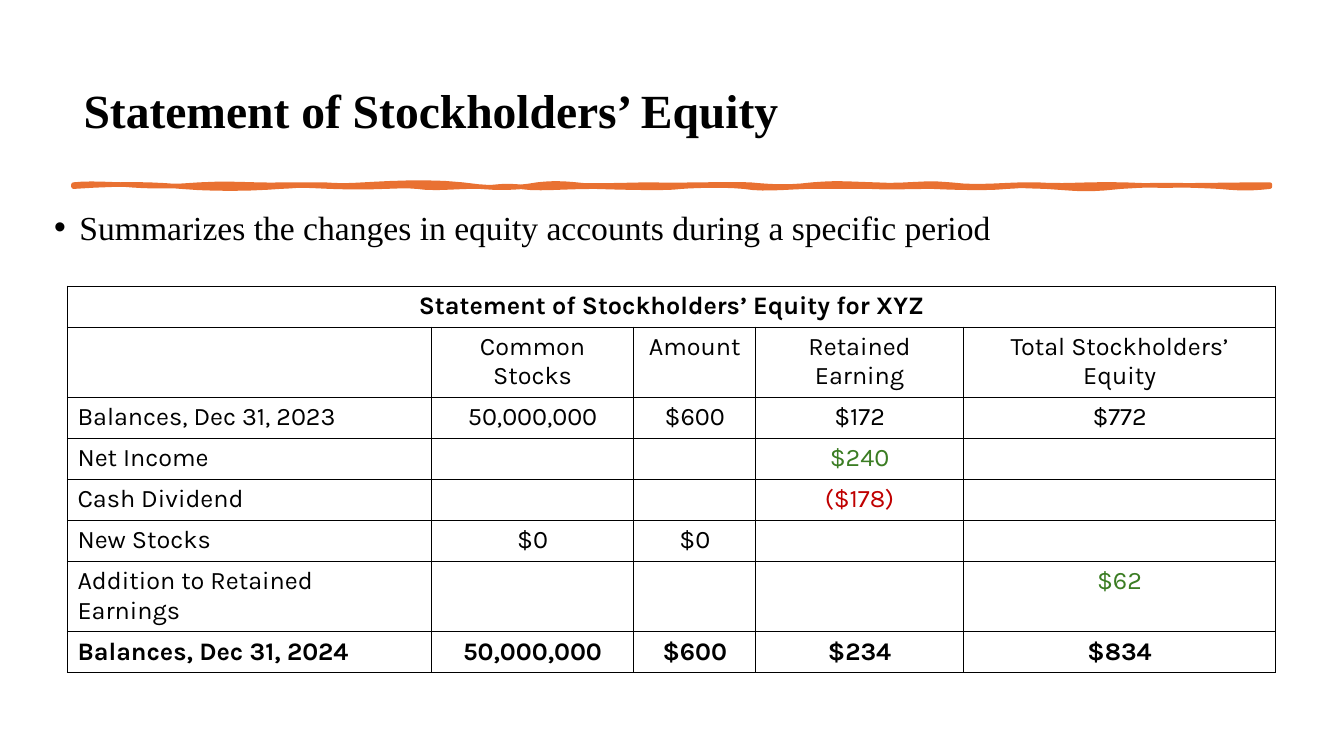
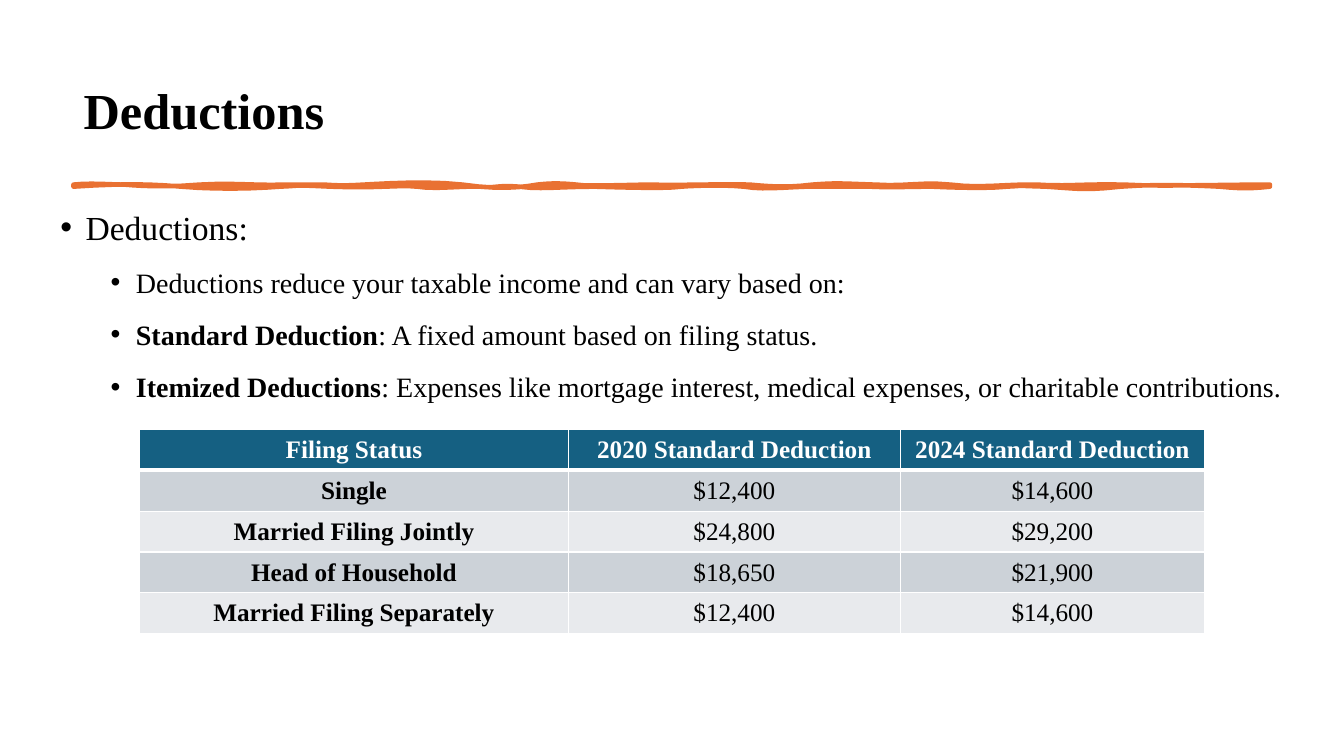
from lxml.etree import SubElement
from pptx import Presentation
from pptx.dml.color import RGBColor
from pptx.enum.text import MSO_ANCHOR, MSO_AUTO_SIZE, PP_ALIGN
from pptx.oxml.ns import qn
from pptx.util import Pt

COLORS = {
    "text": "000000", "white": "FFFFFF", "accent": "E97132",
    "gain": "3B7D23", "loss": "C00000",
    "header": "156082", "band_dark": "CCD2D8", "band_light": "E8EAED",
}
SERIF, SANS = "Times New Roman", "Karla"
TITLE_BOX = (52.5, 28.8, 854.6, 104.4)
STROKE_BOX = (52.5, 131.9, 854.6, 1.44)

# Brush edges as Bezier segments in hundredths of an inch:
# first control x, dy, second control x, dy, end x.
TOP_EDGE = [
    (16, -2, 38, 0, 51), (63, 1, 89, 3, 125), (161, -2, 178, 1, 211),
    (244, 0, 234, 0, 249), (265, 1, 269, 1, 288), (307, -1, 351, -4, 386),
    (421, 5, 443, 3, 460), (476, -2, 489, -1, 499), (508, 2, 552, 0, 573),
    (594, 1, 650, -1, 671), (692, 2, 709, 3, 733), (757, -2, 765, -1, 795),
    (826, 2, 841, -3, 870), (899, 4, 929, -1, 956), (982, 2, 1005, -1, 1042),
    (1078, 2, 1126, 0, 1187),
]
BOTTOM_EDGE = [
    (1169, 2, 1157, 2, 1137), (1117, -1, 1076, -3, 1039),
    (1002, 4, 997, 2, 965), (932, -1, 945, -1, 926), (907, 2, 875, 1, 852),
    (829, 0, 811, 1, 790), (768, 0, 755, 0, 727), (700, 1, 684, 3, 665),
    (646, -2, 615, -1, 603), (590, 2, 551, 1, 517), (482, 0, 464, 3, 442),
    (421, -2, 418, 2, 404), (390, -1, 357, 3, 341), (326, -2, 298, 2, 255),
    (213, -2, 230, -1, 205), (180, 2, 140, 3, 107), (74, -3, 45, -3, 0),
]

EQUITY_ROWS = [
    ["Statement of Stockholders’ Equity for XYZ", "", "", "", ""],
    ["", "Common Stocks", "Amount", "Retained Earning",
     "Total Stockholders’ Equity"],
    ["Balances, Dec 31, 2023", "50,000,000", "$600", "$172", "$772"],
    ["Net Income", "", "", "$240", ""],
    ["Cash Dividend", "", "", "($178)", ""],
    ["New Stocks", "$0", "$0", "", ""],
    ["Addition to Retained Earnings", "", "", "", "$62"],
    ["Balances, Dec 31, 2024", "50,000,000", "$600", "$234", "$834"],
]
EQUITY_COLORS = {"$240": "gain", "($178)": "loss", "$62": "gain"}

DEDUCTION_ROWS = [
    ["Filing Status", "2020 Standard Deduction", "2024 Standard Deduction"],
    ["Single", "$12,400", "$14,600"],
    ["Married Filing Jointly", "$24,800", "$29,200"],
    ["Head of Household", "$18,650", "$21,900"],
    ["Married Filing Separately", "$12,400", "$14,600"],
]


def rgb(name):
    return RGBColor.from_string(COLORS[name])


def points(box):
    return [Pt(v) for v in box]


def set_format(obj, **values):
    for name, value in values.items():
        setattr(obj, name, value)


def add_run(p, text, size, color="text", font=SERIF, bold=False):
    r = p.add_run()
    r.text = text
    set_format(r.font, name=font, size=Pt(size), bold=bold)
    r.font.color.rgb = rgb(color)


def add_title(s, text, size, box):
    sp = s.shapes.title
    left, top, width, height = points(box)
    set_format(sp, left=left, top=top, width=width, height=height)
    tf = sp.text_frame
    set_format(tf, word_wrap=True, auto_size=MSO_AUTO_SIZE.NONE,
               vertical_anchor=MSO_ANCHOR.MIDDLE)
    p = tf.paragraphs[0]
    set_format(p, alignment=PP_ALIGN.LEFT, line_spacing=0.9)
    add_run(p, text, size, bold=True)


def edge_points(edge, start, base, steps=6):
    """Sample the Bezier segments of one edge as points on the slide's scale."""
    x0 = start
    for x1, dy1, x2, dy2, x3 in edge:
        for i in range(1, steps + 1):
            t = i / steps
            u = 1 - t
            a, b, c, d = u ** 3, 3 * u * u * t, 3 * u * t * t, t ** 3
            x = a * x0 + b * x1 + c * x2 + d * x3
            yield Pt(0.72 * x), Pt(0.72 * (base + b * dy1 + c * dy2))
        x0 = x3


def add_brush_stroke(s, box):
    left, top, _, _ = points(box)
    end = TOP_EDGE[-1][-1]
    builder = s.shapes.build_freeform(0, 0)
    builder.add_line_segments(edge_points(TOP_EDGE, 0, 0), close=False)
    builder.add_line_segments([(Pt(0.72 * end), Pt(1.44))], close=False)
    builder.add_line_segments(edge_points(BOTTOM_EDGE, end, 2), close=True)
    sp = builder.convert_to_shape(left, top)
    sp.shadow.inherit = False
    sp.fill.solid()
    sp.fill.fore_color.rgb = rgb("accent")
    sp.line.color.rgb = rgb("accent")
    sp.line.width = Pt(3.25)


def add_bullets(s, box, items, space):
    """Place items of (level, size, [(text, bold), ...]) as a bulleted list."""
    tf = s.shapes.add_textbox(*points(box)).text_frame
    tf.word_wrap = True
    for i, (level, size, runs) in enumerate(items):
        p = tf.paragraphs[0] if i == 0 else tf.add_paragraph()
        set_format(p, level=level, line_spacing=1.05, space_after=Pt(space),
                   space_before=Pt(space if i else 0))
        pPr = p._p.get_or_add_pPr()
        pPr.set("marL", str(Pt(18 + 36 * level)))
        pPr.set("indent", str(Pt(-18)))
        SubElement(pPr, qn("a:buFont"), typeface="Arial")
        SubElement(pPr, qn("a:buChar"), char="•")
        for text, bold in runs:
            add_run(p, text, size, bold=bold)


def set_borders(cell, color, **widths):
    tcPr = cell._tc.get_or_add_tcPr()
    for side in "LRTB":
        ln = SubElement(tcPr, qn(f"a:ln{side}"), w=str(Pt(widths.get(side, 1))))
        fill = SubElement(ln, qn("a:solidFill"))
        SubElement(fill, qn("a:srgbClr"), val=COLORS[color])


def add_grid(s, left, top, col_widths, row_height, rows):
    """Add a table without style bands; text and formats come later."""
    box = (left, top, sum(col_widths), row_height * len(rows))
    table = s.shapes.add_table(len(rows), len(col_widths),
                               *points(box)).table
    set_format(table, first_row=False, horz_banding=False)
    for col, width in zip(table.columns, col_widths):
        col.width = Pt(width)
    for row in table.rows:
        row.height = Pt(row_height)
    return table


def add_equity_table(s, left, top):
    widths = [259.9, 144.7, 87.1, 148.3, 223.2]
    table = add_grid(s, left, top, widths, 29.2, EQUITY_ROWS)
    table.cell(0, 0).merge(table.cell(0, len(widths) - 1))
    bold_rows = (0, len(EQUITY_ROWS) - 1)
    for i, row in enumerate(EQUITY_ROWS):
        for j, text in enumerate(row):
            cell = table.cell(i, j)
            set_borders(cell, "text")
            cell.fill.background()
            if text:
                p = cell.text_frame.paragraphs[0]
                label = j == 0 and i > 0
                p.alignment = PP_ALIGN.LEFT if label else PP_ALIGN.CENTER
                add_run(p, text, 18, EQUITY_COLORS.get(text, "text"), SANS,
                        i in bold_rows)


def add_deduction_table(s, left, top):
    table = add_grid(s, left, top, [306.5, 237, 217.4], 29.2, DEDUCTION_ROWS)
    for i, row in enumerate(DEDUCTION_ROWS):
        header = i == 0
        band = "header" if header else ("band_light", "band_dark")[i % 2]
        for j, text in enumerate(row):
            cell = table.cell(i, j)
            set_borders(cell, "white", B=3 if header else 1,
                        T=3 if i == 1 else 1)
            cell.fill.solid()
            cell.fill.fore_color.rgb = rgb(band)
            cell.vertical_anchor = MSO_ANCHOR.MIDDLE
            p = cell.text_frame.paragraphs[0]
            p.alignment = PP_ALIGN.CENTER
            add_run(p, text, 18, "white" if header else "text",
                    bold=header or j == 0)


def add_titled_slide(prs, title, size):
    s = prs.slides.add_slide(prs.slide_layouts[5])
    add_title(s, title, size, TITLE_BOX)
    add_brush_stroke(s, STROKE_BOX)
    return s


def equity_slide(prs):
    s = add_titled_slide(prs, "Statement of Stockholders’ Equity", 34)
    summary = "Summarizes the changes in equity accounts during a specific period"
    add_bullets(s, (31.7, 142.6, 917.3, 50), [(0, 24, [(summary, False)])], 12)
    add_equity_table(s, 48.2, 204.5)


def deductions_slide(prs):
    s = add_titled_slide(prs, "Deductions", 36)
    add_bullets(s, (36, 142.6, 889.2, 150), [
        (0, 24, [("Deductions:", False)]),
        (1, 20, [("Deductions reduce your taxable income and can vary based on:",
                  False)]),
        (1, 20, [("Standard Deduction", True),
                 (": A fixed amount based on filing status.", False)]),
        (1, 20, [("Itemized Deductions", True),
                 (": Expenses like mortgage interest, medical expenses, "
                  "or charitable contributions.", False)]),
    ], 6)
    add_deduction_table(s, 99.6, 306.7)


def main():
    prs = Presentation()
    set_format(prs, slide_width=Pt(960), slide_height=Pt(540))
    equity_slide(prs)
    deductions_slide(prs)
    prs.save("out.pptx")


if __name__ == "__main__":
    main()
